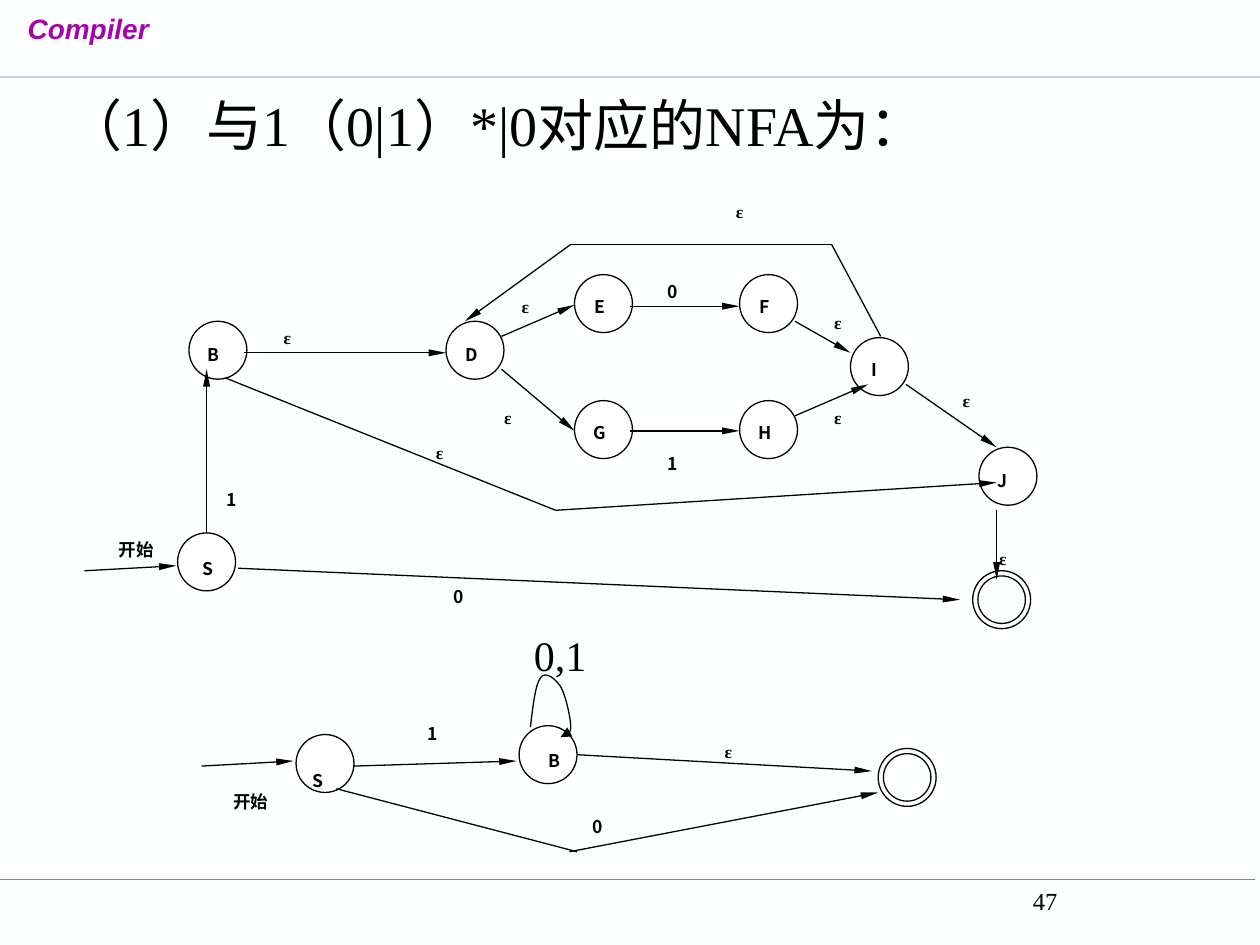
from dataclasses import dataclass
from typing import Optional

from lxml.etree import SubElement
from pptx import Presentation
from pptx.dml.color import RGBColor
from pptx.enum.shapes import MSO_CONNECTOR, MSO_SHAPE
from pptx.enum.text import PP_ALIGN
from pptx.oxml.ns import qn
from pptx.util import Inches, Pt


@dataclass(frozen=True)
class Theme:
    background: str = "FEFFFF"
    ink: str = "000000"
    node: str = "FFFFFF"
    brand: str = "A603AB"
    top_rule: str = "CCCCFF"
    bottom_rule: str = "00CC99"
    serif: str = "Times New Roman"
    sans: str = "Arial"
    chinese: str = "Noto Sans CJK SC"
    title_size: int = 32
    loop_size: int = 24
    header_size: int = 16
    page_size: int = 14
    label_size: int = 10
    thin: float = 0.75


@dataclass(frozen=True)
class State:
    x: float
    y: float
    final: bool = False


@dataclass(frozen=True)
class Edge:
    x1: float
    y1: float
    x2: float
    y2: float
    arrow: bool = True


@dataclass(frozen=True)
class Label:
    text: str
    x: float
    y: float


THEME = Theme()
DIAMETER = 0.46
RING = 0.09

UPPER_STATES = [
    State(1.41, 4.23), State(1.5, 2.55), State(3.54, 2.55), State(4.56, 2.18),
    State(5.87, 2.18), State(6.75, 2.68), State(7.77, 3.55), State(4.56, 3.18),
    State(5.87, 3.18), State(7.72, 4.53, final=True),
]
UPPER_EDGES = [
    Edge(0.67, 4.53, 1.4, 4.49), Edge(1.64, 4.23, 1.64, 2.93),
    Edge(1.94, 2.8, 3.54, 2.8), Edge(3.98, 2.67, 4.56, 2.42),
    Edge(3.98, 2.93, 4.56, 3.42), Edge(5, 2.43, 5.87, 2.43),
    Edge(5, 3.42, 5.87, 3.42), Edge(6.31, 2.55, 6.75, 2.8),
    Edge(6.31, 3.3, 6.89, 3.05), Edge(7.19, 3.05, 7.91, 3.55),
    Edge(7.91, 4.05, 7.91, 4.6), Edge(1.89, 4.51, 7.62, 4.76),
    Edge(1.79, 3, 4.41, 4.05, arrow=False), Edge(4.41, 4.05, 7.91, 3.83),
    Edge(6.99, 2.67, 6.6, 1.94, arrow=False),
    Edge(6.6, 1.94, 4.53, 1.94, arrow=False), Edge(4.53, 1.94, 3.69, 2.55),
]
UPPER_LABELS = [
    Label("S", 1.6, 4.38), Label("B", 1.64, 2.68), Label("D", 3.69, 2.68),
    Label("E", 4.71, 2.3), Label("F", 6.02, 2.3), Label("G", 4.71, 3.3),
    Label("H", 6.02, 3.3), Label("I", 6.89, 2.8), Label("J", 7.91, 3.68),
    Label("ε", 5.82, 1.55), Label("ε", 2.23, 2.55), Label("ε", 4.12, 2.3),
    Label("ε", 3.98, 3.18), Label("ε", 6.6, 2.43), Label("ε", 6.6, 3.18),
    Label("ε", 7.62, 3.05), Label("ε", 7.91, 4.3), Label("ε", 3.44, 3.46),
    Label("1", 1.79, 3.83), Label("1", 5.29, 3.55), Label("0", 5.29, 2.18),
    Label("0", 3.59, 4.6), Label("开始", 0.91, 4.23),
]

LOWER_STATES = [State(2.35, 5.83), State(4.12, 5.76), State(6.97, 5.94, final=True)]
LOWER_EDGES = [
    Edge(1.6, 6.08, 2.33, 6.04), Edge(2.81, 6.08, 4.1, 6.04),
    Edge(4.58, 5.99, 6.92, 6.12), Edge(2.67, 6.26, 4.58, 6.76, arrow=False),
    Edge(4.52, 6.76, 6.97, 6.29),
]
LOWER_LABELS = [
    Label("S", 2.47, 6.06), Label("B", 4.35, 5.9), Label("ε", 5.73, 5.83),
    Label("1", 3.38, 5.69), Label("0", 4.69, 6.43), Label("开始", 1.82, 6.23),
]
LOOP_CURVES = [
    ((4.21, 5.77), (4.23, 5.6), (4.25, 5.43), (4.29, 5.38)),
    ((4.29, 5.38), (4.33, 5.32), (4.41, 5.39), (4.45, 5.45)),
    ((4.45, 5.45), (4.49, 5.52), (4.53, 5.7), (4.53, 5.77)),
    ((4.53, 5.77), (4.53, 5.83), (4.49, 5.84), (4.45, 5.85)),
]


def add_text(slide, text: str, x: float, y: float, width: float, height: float, *,
             size: int, font: str = THEME.serif, color: str = THEME.ink,
             bold: bool = False, italic: bool = False, wrap: bool = False,
             side_inset: float = 0, indent: float = 0,
             align: Optional[PP_ALIGN] = None) -> None:
    shape = slide.shapes.add_textbox(Inches(x), Inches(y), Inches(width), Inches(height))
    frame = shape.text_frame
    frame.word_wrap = wrap
    frame.margin_left = frame.margin_right = Inches(side_inset)
    frame.margin_top = frame.margin_bottom = Inches(0.05)
    paragraph = frame.paragraphs[0]
    if align is not None:
        paragraph.alignment = align
    if indent:
        paragraph._p.get_or_add_pPr().set("marL", str(Inches(indent)))
    run = paragraph.add_run()
    run.text = text
    run.font.name = font
    run.font.size = Pt(size)
    run.font.bold = bold
    run.font.italic = italic
    run.font.color.rgb = RGBColor.from_string(color)
    SubElement(run._r.get_or_add_rPr(), qn("a:ea"), typeface=THEME.chinese)


def add_arrowhead(shape, width: str, length: str) -> None:
    SubElement(shape.line._get_or_add_ln(), qn("a:tailEnd"),
               type="triangle", w=width, len=length)


def add_line(slide, edge: Edge, color: str = THEME.ink, weight: float = THEME.thin) -> None:
    connector = slide.shapes.add_connector(
        MSO_CONNECTOR.STRAIGHT, Inches(edge.x1), Inches(edge.y1),
        Inches(edge.x2), Inches(edge.y2))
    connector.line.color.rgb = RGBColor.from_string(color)
    connector.line.width = Pt(weight)
    if edge.arrow:
        add_arrowhead(connector, "sm", "lg")
    SubElement(connector._element.spPr, qn("a:effectLst"))


def add_state(slide, state: State) -> None:
    kind = MSO_SHAPE.DONUT if state.final else MSO_SHAPE.OVAL
    shape = slide.shapes.add_shape(kind, Inches(state.x), Inches(state.y),
                                   Inches(DIAMETER), Inches(DIAMETER))
    if state.final:
        shape.adjustments[0] = RING
    shape.shadow.inherit = False
    shape.fill.solid()
    shape.fill.fore_color.rgb = RGBColor.from_string(THEME.node)
    shape.line.color.rgb = RGBColor.from_string(THEME.ink)
    shape.line.width = Pt(THEME.thin)


def curve_point(curve: tuple, t: float) -> tuple:
    weights = ((1 - t) ** 3, 3 * t * (1 - t) ** 2, 3 * t ** 2 * (1 - t), t ** 3)
    return tuple(Inches(sum(w * point[axis] for w, point in zip(weights, curve)))
                 for axis in (0, 1))


def add_loop(slide, curves: list, steps: int = 8) -> None:
    points = [curve_point(curve, step / steps)
              for curve in curves for step in range(1, steps + 1)]
    builder = slide.shapes.build_freeform(*curve_point(curves[0], 0))
    builder.add_line_segments(points, close=False)
    shape = builder.convert_to_shape()
    shape.shadow.inherit = False
    shape.fill.background()
    shape.line.color.rgb = RGBColor.from_string(THEME.ink)
    shape.line.width = Pt(THEME.thin)
    add_arrowhead(shape, "med", "med")


def add_automaton(slide, states: list, edges: list, labels: list) -> None:
    for state in states:
        add_state(slide, state)
    for edge in edges:
        add_line(slide, edge)
    for label in labels:
        add_text(slide, label.text, label.x, label.y,
                 0.34 if len(label.text) > 1 else 0.1, 0.16,
                 size=THEME.label_size, bold=True, align=PP_ALIGN.CENTER,
                 font=THEME.serif if label.text == "ε" else THEME.chinese)


def main() -> None:
    presentation = Presentation()
    presentation.slide_width, presentation.slide_height = Inches(10), Inches(7.5)
    slide = presentation.slides.add_slide(presentation.slide_layouts[6])
    slide.background.fill.solid()
    slide.background.fill.fore_color.rgb = RGBColor.from_string(THEME.background)
    add_line(slide, Edge(-0.04, 6.98, 9.96, 6.98, arrow=False), THEME.bottom_rule)
    add_line(slide, Edge(0, 0.61, 10, 0.61, arrow=False), THEME.top_rule, 1)
    add_text(slide, "Compiler", 0.19, 0.04, 1.02, 0.56, size=THEME.header_size,
             font=THEME.sans, color=THEME.brand, bold=True, italic=True,
             align=PP_ALIGN.CENTER)
    add_text(slide, "47", 6.89, 6.98, 3.07, 0.5, size=THEME.page_size, wrap=True,
             side_inset=0.1, indent=1.21)
    add_text(slide, "（1）与1（0|1）*|0对应的NFA为：", 0.43, 0.67, 9.01, 6.09,
             size=THEME.title_size, wrap=True, side_inset=0.1)
    add_automaton(slide, UPPER_STATES, UPPER_EDGES, UPPER_LABELS)
    add_automaton(slide, LOWER_STATES, LOWER_EDGES, LOWER_LABELS)
    add_loop(slide, LOOP_CURVES)
    add_text(slide, "0,1", 4.14, 4.95, 0.61, 0.5, size=THEME.loop_size, align=PP_ALIGN.CENTER)
    presentation.save("out.pptx")


if __name__ == "__main__":
    main()
